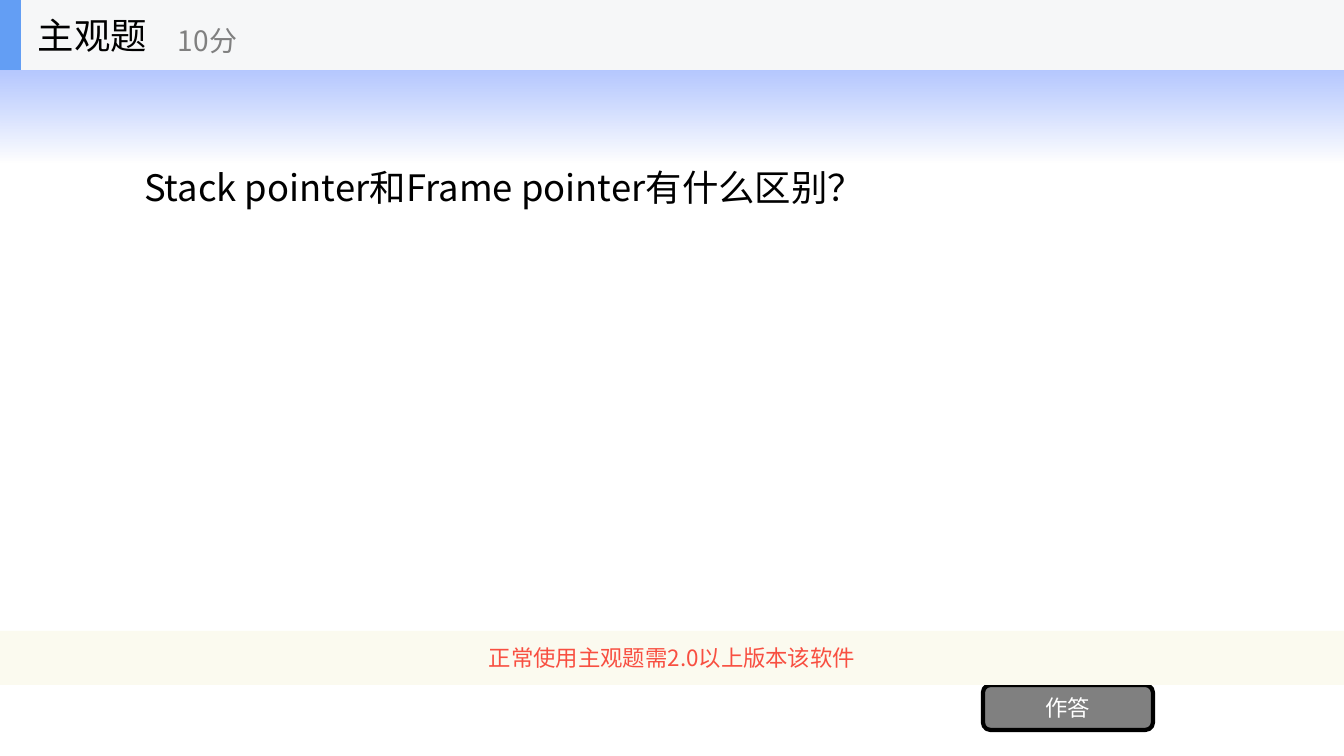
from dataclasses import dataclass

from lxml import etree
from pptx import Presentation
from pptx import util as u
from pptx.dml.color import RGBColor
from pptx.enum import shapes, text
from pptx.oxml import ns

PX = 914400 / 100.8  # EMU in one px
WIDTH, HEIGHT = 1344, 756


@dataclass(frozen=True)
class Theme:
    font: str = "Noto Sans CJK SC"
    large: int = 26
    medium: int = 20
    small: int = 16
    black: str = "000000"
    white: str = "FFFFFF"
    gray: str = "808080"
    sky: str = "3366FF"
    accent: str = "639EF4"
    header: str = "F6F7F8"
    notice: str = "FBFAEF"
    warning: str = "F84F41"


THEME = Theme()
LEFT, CENTER = text.PP_ALIGN.LEFT, text.PP_ALIGN.CENTER
RECTANGLE = shapes.MSO_SHAPE.RECTANGLE


def emu(box):
    return [u.Emu(round(length * PX)) for length in box]


def write(shape, words, size, color, align=LEFT, wrap=True):
    frame = shape.text_frame
    frame.text = words
    frame.word_wrap = wrap
    frame.auto_size = text.MSO_AUTO_SIZE.NONE
    frame.vertical_anchor = text.MSO_ANCHOR.MIDDLE
    paragraph = frame.paragraphs[0]
    paragraph.alignment = align
    for run in paragraph.runs:
        run.font.size = u.Pt(size)
        run.font.name = THEME.font
        run.font.color.rgb = RGBColor.from_string(color)
        # East Asian typeface
        east_asian = etree.SubElement(run.font._element, ns.qn("a:ea"))
        east_asian.set("typeface", THEME.font)


def add_block(parent, box, color, kind=RECTANGLE):
    shape = parent.shapes.add_shape(kind, *emu(box))
    shape.shadow.inherit = False
    shape.fill.solid()
    shape.fill.fore_color.rgb = RGBColor.from_string(color)
    shape.line.fill.background()
    return shape


def add_label(parent, box, words, size, color):
    label = parent.shapes.add_textbox(*emu(box))
    write(label, words, size, color, wrap=False)


def add_sky(slide, box):
    sky = add_block(slide, box, THEME.sky)
    sky.fill.gradient()
    sky.fill.gradient_angle = 270
    colors = ((0, THEME.sky, 60), (1, THEME.white, 70))
    for stop, (position, color, opacity) in zip(sky.fill.gradient_stops, colors):
        stop.position = position
        stop.color.rgb = RGBColor.from_string(color)
    # Opacity of each stop
    for node, (_, _, opacity) in zip(sky._element.spPr.iter(ns.qn("a:srgbClr")), colors):
        etree.SubElement(node, ns.qn("a:alpha")).set("val", str(opacity * 1000))


def add_question(slide, box, words):
    title = slide.shapes.title
    title.left, title.top, title.width, title.height = emu(box)
    write(title, words, THEME.large, THEME.black)
    # Bring the question in front of the sky
    slide.shapes._spTree.append(title._element)


def add_answer_button(slide, box, words):
    button = add_block(slide, box, THEME.gray, shapes.MSO_SHAPE.ROUNDED_RECTANGLE)
    button.line.color.rgb = RGBColor.from_string(THEME.black)
    button.line.width = u.Pt(3)
    write(button, words, THEME.small, THEME.white, CENTER)


def add_notice(slide, box, words):
    notice = add_block(slide, box, THEME.notice)
    write(notice, words, THEME.small, THEME.warning, CENTER)


def add_header(slide, box, kind, score):
    left, top, width, height = box
    header = slide.shapes.add_group_shape()
    add_block(header, box, THEME.header)
    add_block(header, (left, top, 21, height), THEME.accent)
    add_label(header, (left + 28, top, 210, height), kind, THEME.large, THEME.black)
    add_label(header, (left + 168, top + 12, 252, height - 14), score,
              THEME.medium, THEME.gray)


def build_question_slide(presentation):
    slide = presentation.slides.add_slide(presentation.slide_layouts[5])
    add_sky(slide, (0, 0, WIDTH, 163))
    add_question(slide, (134, 69, 1076, 236), "Stack pointer和Frame pointer有什么区别？")
    add_answer_button(slide, (983, 685, 170, 45), "作答")
    add_notice(slide, (0, 631, WIDTH, 54), "正常使用主观题需2.0以上版本该软件")
    add_header(slide, (0, 0, WIDTH, 70), "主观题", "10分")


def main():
    presentation = Presentation()
    presentation.slide_width, presentation.slide_height = emu((WIDTH, HEIGHT))
    build_question_slide(presentation)
    presentation.save("out.pptx")


if __name__ == "__main__":
    main()
